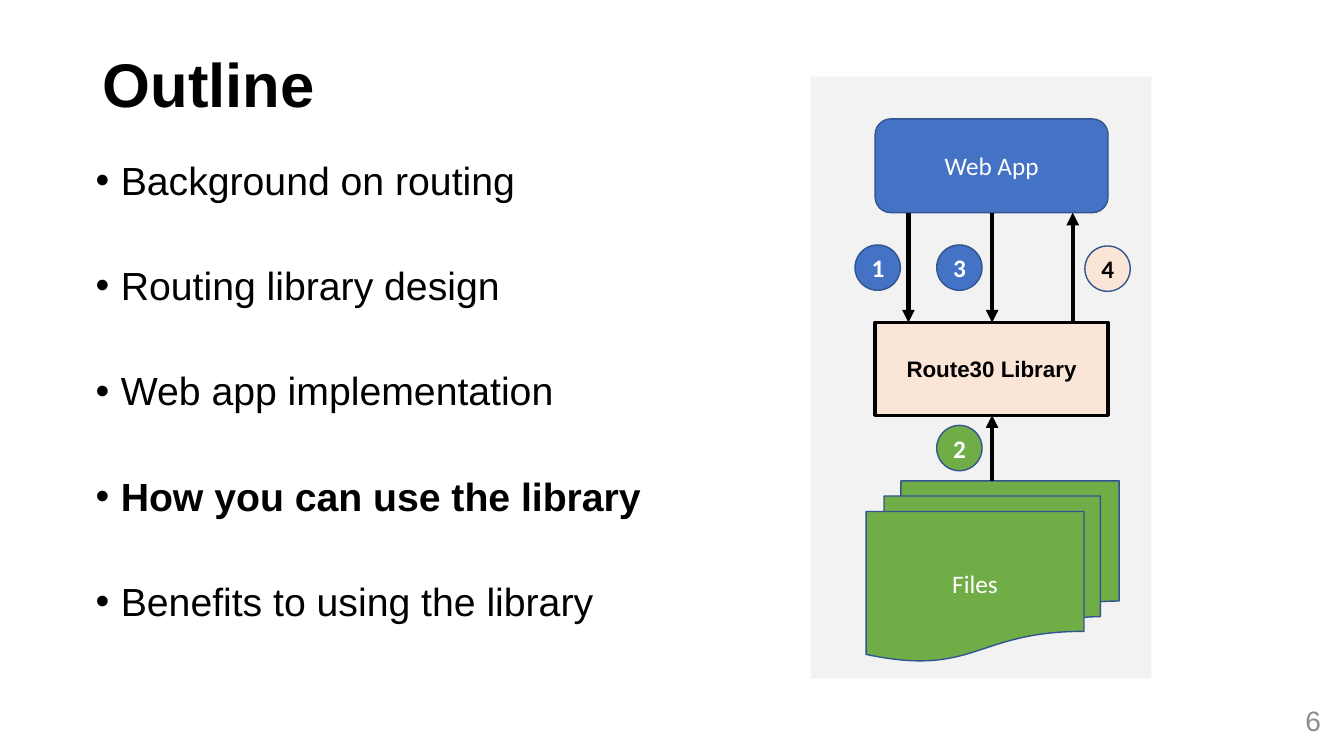
from lxml import etree
from pptx import Presentation
from pptx import util as u
from pptx.dml.color import RGBColor
from pptx.enum import shapes, text
from pptx.oxml import ns

PX = 9144  # 100 px to the inch
COLORS = {
    "black": "000000", "white": "FFFFFF", "gray": "8C8C8C", "panel": "F2F2F2",
    "app": "4472C4", "library": "FBE5D6", "files": "70AD47", "outline": "325491",
}
TOPICS = [
    "Background on routing", "Routing library design", "Web app implementation",
    "How you can use the library", "Benefits to using the library",
]
CURRENT_TOPIC = "How you can use the library"
LEFT, CENTER, RIGHT = text.PP_ALIGN.LEFT, text.PP_ALIGN.CENTER, text.PP_ALIGN.RIGHT


def rgb(name):
    return RGBColor.from_string(COLORS[name])


def px(*lengths):
    return [u.Emu(length * PX) for length in lengths]


def set_all(target, values):
    for name, value in values.items():
        setattr(target, name, value)


def write(paragraph, words, size, color="black", font="Arial", bold=False, **layout):
    set_all(paragraph, layout)
    run = paragraph.add_run()
    run.text = words
    set_all(run.font, {"size": u.Pt(size), "name": font, "bold": bold})
    run.font.color.rgb = rgb(color)


def add_text_box(slide, box, anchor):
    frame = slide.shapes.add_textbox(*px(*box)).text_frame
    set_all(frame, {"word_wrap": True, "vertical_anchor": anchor})
    return frame


def add_bullet(paragraph):
    properties = paragraph._p.get_or_add_pPr()
    properties.set("marL", str(25 * PX))
    properties.set("indent", str(-25 * PX))
    etree.SubElement(properties, ns.qn("a:buFont"), typeface="Arial")
    etree.SubElement(properties, ns.qn("a:buChar"), char="•")


def add_topics(slide, box):
    frame = add_text_box(slide, box, text.MSO_ANCHOR.TOP)
    for index, topic in enumerate(TOPICS):
        paragraph = frame.add_paragraph() if index else frame.paragraphs[0]
        add_bullet(paragraph)
        write(paragraph, topic, 28, bold=topic == CURRENT_TOPIC,
              line_spacing=0.9, space_before=u.Pt(45 if index else 0))


def add_node(slide, kind, box, fill, line="outline", width=1, words="", **style):
    shape = slide.shapes.add_shape(kind, *px(*box))
    shape.shadow.inherit = False
    shape.fill.solid()
    shape.fill.fore_color.rgb = rgb(fill)
    if line:
        shape.line.color.rgb = rgb(line)
        shape.line.width = u.Pt(width)
    else:
        shape.line.fill.background()
    if words:
        shape.text_frame.vertical_anchor = text.MSO_ANCHOR.MIDDLE
        look = {"size": 18, "color": "white", "font": "Calibri", **style}
        write(shape.text_frame.paragraphs[0], words, alignment=CENTER, **look)


def add_arrow(slide, x, start, end):
    arrow = slide.shapes.add_connector(shapes.MSO_CONNECTOR.STRAIGHT, *px(x, start, x, end))
    arrow.line.color.rgb = rgb("black")
    arrow.line.width = u.Pt(3)
    etree.SubElement(arrow.line._get_or_add_ln(), ns.qn("a:tailEnd"), type="triangle")
    etree.SubElement(arrow._element.spPr, ns.qn("a:effectLst"))


def add_diagram(slide):
    kinds = shapes.MSO_SHAPE
    # Panel and the three parts of the system
    add_node(slide, kinds.RECTANGLE, (804, 76, 338, 597), "panel", line=None)
    add_node(slide, kinds.RECTANGLE, (868, 320, 231, 92), "library", "black", 2.5,
             "Route30 Library", size=16, color="black", font="Arial", bold=True)
    add_node(slide, kinds.ROUNDED_RECTANGLE, (868, 118, 231, 93), "app", words="Web App")
    add_node(slide, kinds.FLOWCHART_MULTIDOCUMENT, (859, 477, 251, 179), "files", words="Files")

    # Vertical arrows: x, start, end
    for x, start, end in [(984, 477, 412), (1064, 320, 211), (901, 211, 320), (984, 211, 320)]:
        add_arrow(slide, x, start, end)

    # Numbered steps
    steps = [(848, 243, "app", "white"), (929, 422, "files", "white"),
             (929, 243, "app", "white"), (1076, 244, "library", "black")]
    for number, (x, y, fill, color) in enumerate(steps, 1):
        add_node(slide, kinds.OVAL, (x, y, 45, 45), fill,
                 words=str(number), color=color, bold=True)


def main():
    presentation = Presentation()
    set_all(presentation, dict(zip(("slide_width", "slide_height"), px(1333, 750))))
    slide = presentation.slides.add_slide(presentation.slide_layouts[6])

    # Title, page number and topics
    middle = text.MSO_ANCHOR.MIDDLE
    title = add_text_box(slide, (92, 40, 1150, 93), middle)
    write(title.paragraphs[0], "Outline", 44, bold=True, alignment=LEFT, line_spacing=0.9)
    page = add_text_box(slide, (1020, 695, 300, 40), middle)
    write(page.paragraphs[0], "6", 20, "gray", alignment=RIGHT)
    add_topics(slide, (85, 155, 609, 477))

    add_diagram(slide)
    presentation.save("out.pptx")


if __name__ == "__main__":
    main()
